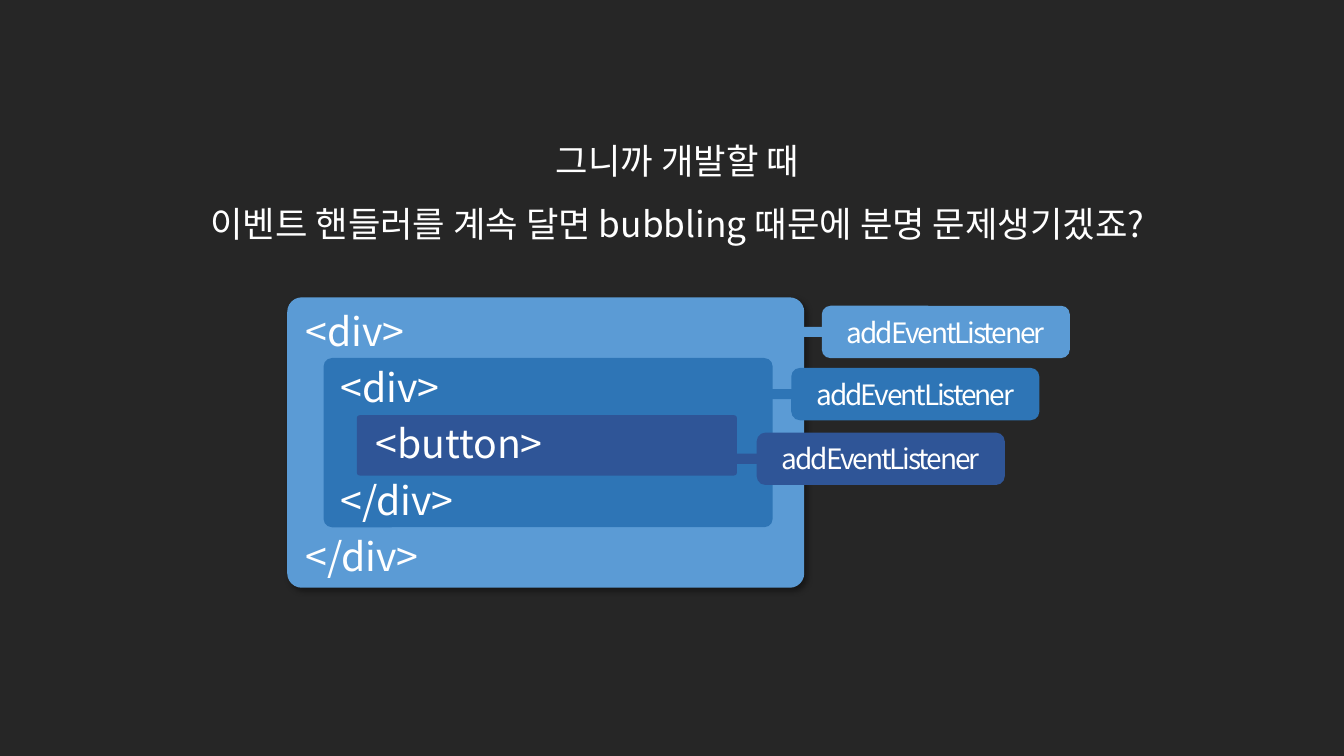
import pptx
import pptx.dml.color
import pptx.enum.shapes
import pptx.enum.text
import pptx.oxml
import pptx.oxml.ns
import pptx.util

Pt = pptx.util.Pt
RGBColor = pptx.dml.color.RGBColor
SHAPES = pptx.enum.shapes.MSO_SHAPE
ALIGN = pptx.enum.text.PP_ALIGN
ANCHOR = pptx.enum.text.MSO_ANCHOR
AUTO_SIZE = pptx.enum.text.MSO_AUTO_SIZE

BACKGROUND = RGBColor(0x26, 0x26, 0x26)
WHITE = RGBColor(0xFF, 0xFF, 0xFF)
LIGHT_BLUE = RGBColor(0x5B, 0x9B, 0xD5)
MID_BLUE = RGBColor(0x2E, 0x75, 0xB6)
DARK_BLUE = RGBColor(0x2F, 0x55, 0x97)
FONT = "Noto Sans CJK KR"

TITLE = "그니까 개발할 때\v이벤트 핸들러를 계속 달면 bubbling 때문에 분명 문제생기겠죠?"
TITLE_BOX = (43.2, 88.56, 881.28, 82.08)
CODE = ["<div>", "    <div>", "        <button>", "    </div>", "</div>"]
CODE_BOX = (211, 219.6, 334, 200.2)
LISTENER = "addEventListener"
LISTENER_SIZE = (177.2, 37.4)
STEM_SIZE = (17, 7.2)

# colour, element box, listener left and top, stem left
ELEMENTS = [
    (LIGHT_BLUE, (205.2, 212.4, 369.3, 207.4), (587, 218.4), 574.4),
    (MID_BLUE, (231.1, 255.7, 320.8, 120.9), (565.2, 262.8), 551.3),
    (DARK_BLUE, (254.9, 296.6, 271.5, 43.1), (540.5, 309), 525),
]

SHADOW = (
    '<a:effectLst %s><a:outerShdw blurRad="50800" dist="38100" dir="2700000" '
    'algn="tl" rotWithShape="0"><a:srgbClr val="000000"><a:alpha val="40000"/>'
    "</a:srgbClr></a:outerShdw></a:effectLst>" % pptx.oxml.ns.nsdecls("a")
)


def apply(target, formats):
    for attribute, value in formats.items():
        setattr(target, attribute, value)


def write(paragraph, text, size, spacing=None, **formats):
    """Put white text in a paragraph; spacing is in points between letters."""
    paragraph.text = text
    apply(paragraph, formats)
    for run in paragraph.runs:
        apply(run.font, {"name": FONT, "size": Pt(size)})
        run.font.color.rgb = WHITE
        properties = run.font._element
        east_asian = pptx.oxml.parse_xml(
            '<a:ea %s typeface="%s"/>' % (pptx.oxml.ns.nsdecls("a"), FONT))
        properties.find(pptx.oxml.ns.qn("a:latin")).addnext(east_asian)
        if spacing is not None:
            properties.set("spc", str(int(spacing * 100)))


def add_block(slide, preset, box, colour, corner=None):
    block = slide.shapes.add_shape(preset, *map(Pt, box))
    block.shadow.inherit = False
    block.fill.solid()
    block.fill.fore_color.rgb = colour
    block.line.fill.background()
    if corner is not None:
        block.adjustments[0] = corner
    return block


def add_title(slide):
    title = slide.shapes.title
    apply(title, dict(zip(("left", "top", "width", "height"), map(Pt, TITLE_BOX))))
    apply(title.text_frame, {"word_wrap": True, "auto_size": AUTO_SIZE.NONE,
                             "vertical_anchor": ANCHOR.MIDDLE})
    write(title.text_frame.paragraphs[0], TITLE, 25.2,
          alignment=ALIGN.CENTER, line_spacing=1.5)


def add_elements(slide):
    for level, (colour, box, _, _) in enumerate(ELEMENTS):
        element = add_block(slide, SHAPES.ROUNDED_RECTANGLE, box, colour, 0.05)
        if level == 0:
            properties = element._element.spPr
            properties.replace(properties.find(pptx.oxml.ns.qn("a:effectLst")),
                               pptx.oxml.parse_xml(SHADOW))


def add_code(slide):
    code = slide.shapes.add_textbox(*map(Pt, CODE_BOX)).text_frame
    apply(code, {"word_wrap": True, "auto_size": AUTO_SIZE.SHAPE_TO_FIT_TEXT})
    for number, line in enumerate(CODE):
        paragraph = code.add_paragraph() if number else code.paragraphs[0]
        write(paragraph, line, 28, alignment=ALIGN.LEFT, line_spacing=0.9,
              space_before=Pt(10 if number else 0))


def add_listeners(slide):
    for colour, _, (left, top), stem_left in ELEMENTS:
        listener = add_block(slide, SHAPES.ROUNDED_RECTANGLE,
                             (left, top, *LISTENER_SIZE), colour)
        apply(listener.text_frame, {"word_wrap": True,
                                    "vertical_anchor": ANCHOR.MIDDLE})
        write(listener.text_frame.paragraphs[0], LISTENER, 20, spacing=-1.5,
              alignment=ALIGN.CENTER)
        stem_top = top + (LISTENER_SIZE[1] - STEM_SIZE[1]) / 2
        add_block(slide, SHAPES.RECTANGLE,
                  (stem_left, stem_top, *STEM_SIZE), colour)


def main():
    deck = pptx.Presentation()
    apply(deck, {"slide_width": Pt(960), "slide_height": Pt(540)})
    slide = deck.slides.add_slide(deck.slide_layouts[5])
    slide.background.fill.solid()
    slide.background.fill.fore_color.rgb = BACKGROUND
    add_title(slide)
    add_elements(slide)
    add_code(slide)
    add_listeners(slide)
    deck.save("out.pptx")


if __name__ == "__main__":
    main()
